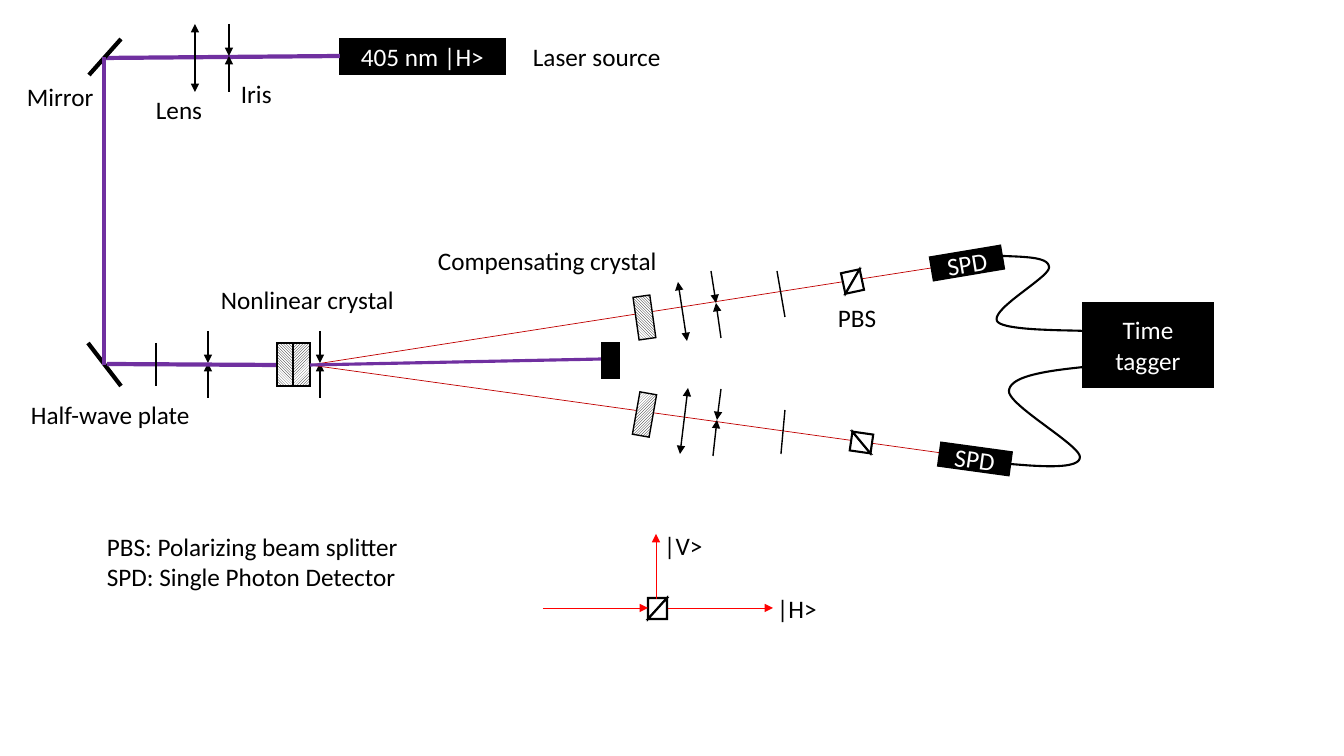
from dataclasses import dataclass
from typing import Any

from lxml.etree import SubElement
from pptx import Presentation
from pptx.dml.color import RGBColor
from pptx.enum.dml import MSO_PATTERN
from pptx.enum.shapes import MSO_CONNECTOR, MSO_SHAPE
from pptx.enum.text import MSO_ANCHOR, MSO_AUTO_SIZE, PP_ALIGN
from pptx.oxml.ns import qn
from pptx.util import Pt

EMU_PER_PIXEL = 914400 / 100.8
FONT, FONT_SIZE = "Calibri", 18
CURVE_STEPS = 20
COLORS = {"black": "000000", "white": "FFFFFF", "pump": "7030A0",
          "pair": "C00000", "arrow": "FF0000"}
DOWN_HATCH = MSO_PATTERN.LIGHT_DOWNWARD_DIAGONAL
UP_HATCH = MSO_PATTERN.LIGHT_UPWARD_DIAGONAL


def emu(pixels):
    """Turn pixels into EMU."""
    return round(pixels * EMU_PER_PIXEL)


def color(name):
    """Look up a colour by name."""
    return RGBColor.from_string(COLORS[name])


def write(paragraph, text, color_name):
    """Add one styled run to a paragraph."""
    run = paragraph.add_run()
    run.text = text
    run.font.name, run.font.size = FONT, Pt(FONT_SIZE)
    run.font.color.rgb = color(color_name)


@dataclass
class Region:
    """Part of the slide whose contents are placed from its top left corner."""
    slide: Any
    left: int
    top: int

    def place(self, point):
        """Turn a point of the region into slide EMU."""
        return emu(self.left + point[0]), emu(self.top + point[1])

    def line(self, start, end, color_name="black", width=1, head=False, tail=False):
        """Draw a straight line with optional arrowheads."""
        connector = self.slide.shapes.add_connector(
            MSO_CONNECTOR.STRAIGHT, *self.place(start), *self.place(end))
        connector.line.color.rgb = color(color_name)
        connector.line.width = Pt(width)
        properties = connector.element.spPr
        outline = properties.find(qn("a:ln"))
        for tag, wanted in (("a:headEnd", head), ("a:tailEnd", tail)):
            if wanted:
                SubElement(outline, qn(tag)).set("type", "triangle")
        SubElement(properties, qn("a:effectLst"))

    def shape(self, kind, corner, size, fill="black", rotation=0, width=1):
        """Draw a preset shape with a plain fill and sharp black outline."""
        shape = self.slide.shapes.add_shape(
            kind, *self.place(corner), emu(size[0]), emu(size[1]))
        shape.shadow.inherit = False
        shape.rotation = rotation
        shape.fill.solid()
        shape.fill.fore_color.rgb = color(fill)
        shape.line.color.rgb = color("black")
        shape.line.width = Pt(width)
        outline = shape.element.spPr.find(qn("a:ln"))
        SubElement(outline, qn("a:miter")).set("lim", "800000")
        return shape

    def device(self, corner, size, text="", rotation=0):
        """Draw a black box with a white caption."""
        box = self.shape(MSO_SHAPE.RECTANGLE, corner, size, rotation=rotation)
        if text:
            box.text_frame.vertical_anchor = MSO_ANCHOR.MIDDLE
            paragraph = box.text_frame.paragraphs[0]
            paragraph.alignment = PP_ALIGN.CENTER
            write(paragraph, text, "white")

    def crystal(self, corner, pattern, rotation=0):
        """Draw a hatched crystal."""
        crystal = self.shape(MSO_SHAPE.RECTANGLE, corner, (17, 43), rotation=rotation)
        crystal.fill.patterned()
        crystal.fill.pattern = pattern
        crystal.fill.fore_color.rgb = color("black")
        crystal.fill.back_color.rgb = color("white")

    def iris(self, top, middle, bottom):
        """Draw two arrows that meet at the beam."""
        for start in (top, bottom):
            self.line(start, middle, tail=True)

    def lens(self, top, bottom):
        """Draw a lens as a double arrow."""
        self.line(top, bottom, head=True, tail=True)

    def splitter(self, corner, rotation):
        """Draw a beam splitter from two facing right triangles."""
        for turn in (0, 180):
            prism = self.shape(MSO_SHAPE.ISOSCELES_TRIANGLE, corner, (21, 19),
                               "white", rotation + turn, 1.5)
            prism.adjustments[0] = 0

    def fiber(self, start, curves):
        """Draw a smooth cable through a chain of cubic curves."""
        builder = self.slide.shapes.build_freeform(*self.place(start))
        points, knot = [], start
        for first, second, end in curves:
            for step in range(1, CURVE_STEPS + 1):
                t = step / CURVE_STEPS
                weights = ((1 - t) ** 3, 3 * t * (1 - t) ** 2, 3 * t * t * (1 - t), t ** 3)
                corners = (knot, first, second, end)
                points.append(self.place([
                    sum(weight * corner[axis] for weight, corner in zip(weights, corners))
                    for axis in (0, 1)]))
            knot = end
        builder.add_line_segments(points, close=False)
        cable = builder.convert_to_shape()
        cable.shadow.inherit = False
        cable.fill.background()
        cable.line.color.rgb = color("black")
        cable.line.width = Pt(1.5)

    def label(self, corner, width, *lines):
        """Add a black text label, one paragraph per line."""
        box = self.slide.shapes.add_textbox(
            *self.place(corner), emu(width), emu(10 + 30 * len(lines)))
        frame = box.text_frame
        frame.word_wrap = False
        frame.auto_size = MSO_AUTO_SIZE.SHAPE_TO_FIT_TEXT
        for index, text in enumerate(lines):
            paragraph = frame.add_paragraph() if index else frame.paragraphs[0]
            write(paragraph, text, "black")


def draw_pump(region):
    """Laser, its optics and the two folding mirrors."""
    region.device((340, 19), (165, 35), "405 nm |H>")
    region.line((340, 36), (104, 38), "pump", 3)
    region.iris((229, 4), (229, 36), (229, 72))
    region.lens((195, 4), (195, 72))
    region.line((121, 19), (89, 55), width=3)
    region.line((121, 366), (88, 323), width=3)
    region.line((104, 37), (104, 345), "pump", 3)
    region.label((523, 16), 149, "Laser source")
    region.label((231, 53), 52, "Iris")
    region.label((146, 69), 68, "Lens")
    region.label((17, 56), 88, "Mirror")


def draw_pair_source(region):
    """Half-wave plate, nonlinear crystal and the beams leaving it."""
    region.iris((208, 91), (208, 123), (208, 158))
    region.line((107, 124), (277, 125), "pump", 3)
    region.line((156, 103), (156, 146))
    region.crystal((277, 103), DOWN_HATCH)
    region.crystal((293, 103), UP_HATCH, 180)
    region.iris((320, 91), (320, 123), (320, 158))
    for end in ((931, 28), (949, 214)):
        region.line((310, 125), end, "pair", 0.5)
    region.line((310, 125), (602, 119), "pump", 2.25)
    region.device((602, 103), (17, 35))
    region.label((21, 154), 189, "Half-wave plate")
    region.label((211, 39), 196, "Nonlinear crystal")
    region.label((428, 0), 242, "Compensating crystal")


def draw_arm(region, crystal, lens, iris, plate, splitter, detector):
    """Optics of one photon path, ending in its detector."""
    region.crystal(*crystal)
    region.lens(*lens)
    region.iris(*iris)
    region.line(*plate)
    region.splitter(*splitter)
    corner, rotation = detector
    region.device(corner, (72, 24), "SPD", rotation)


def draw_tagger(region):
    """Time tagger with the cables from both detectors."""
    region.device((93, 63), (130, 84), "Time tagger")
    region.fiber((13, 16), [((36, 17), (60, 17), (59, 28)),
                            ((58, 38), (1, 69), (7, 81)),
                            ((12, 91), (78, 90), (94, 91))])
    region.fiber((20, 224), [((55, 227), (90, 229), (90, 217)),
                             ((90, 205), (18, 165), (19, 151)),
                             ((20, 136), (56, 131), (94, 127))])


def draw_key(region):
    """Abbreviations and the outputs of a beam splitter."""
    region.label((7, 6), 319, "PBS: Polarizing beam splitter", "SPD: Single Photon Detector")
    region.splitter((557, 79), 90)
    for start, end in (((453, 88), (558, 88)), ((578, 88), (683, 88)), ((566, 79), (566, 14))):
        region.line(start, end, "arrow", 0.5, tail=True)
    region.label((677, 68), 62, "|H>")
    region.label((564, 5), 61, "|V>")


presentation = Presentation()
presentation.slide_width, presentation.slide_height = emu(1344), emu(756)
slide = presentation.slides.add_slide(presentation.slide_layouts[6])
draw_pump(Region(slide, 0, 20))
draw_pair_source(Region(slide, 0, 240))
upper_arm = Region(slide, 630, 240)
draw_arm(upper_arm, crystal=((6, 56), DOWN_HATCH, 351.9), lens=((48, 42), (57, 101)),
         iris=((81, 31), (86, 63), (91, 98)), plate=((147, 31), (155, 77)),
         splitter=((212, 32), 78), detector=((301, 11), 350.5))
upper_arm.label((198, 57), 66, "PBS")
draw_arm(Region(slide, 630, 380), crystal=((6, 13), UP_HATCH, 190), lens=((58, 8), (50, 74)),
         iris=((91, 9), (87, 40), (83, 76)), plate=((155, 30), (151, 74)),
         splitter=((221, 53), 8.2), detector=((309, 67), 7.8))
draw_tagger(Region(slide, 990, 240))
draw_key(Region(slide, 90, 520))
presentation.save("out.pptx")
